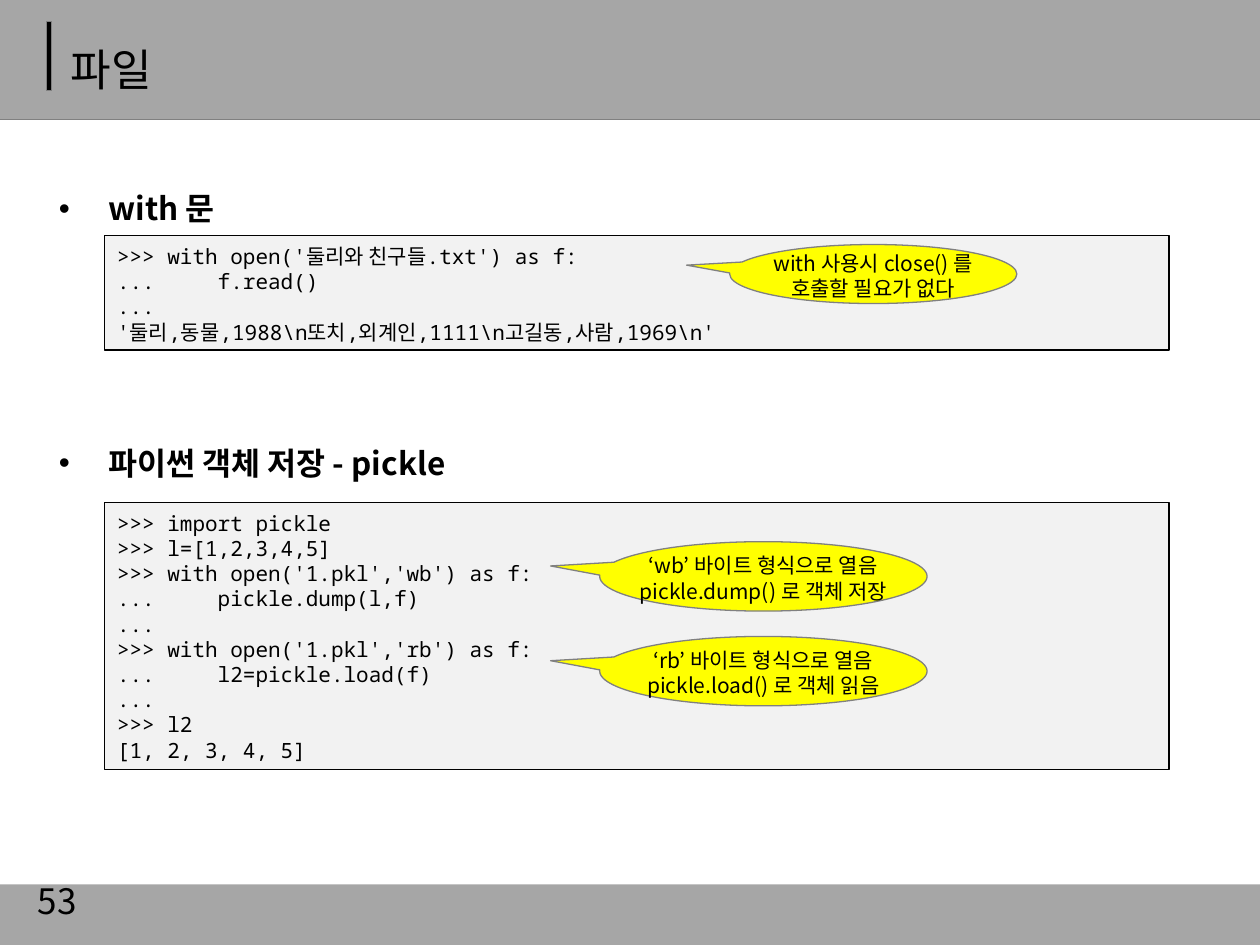
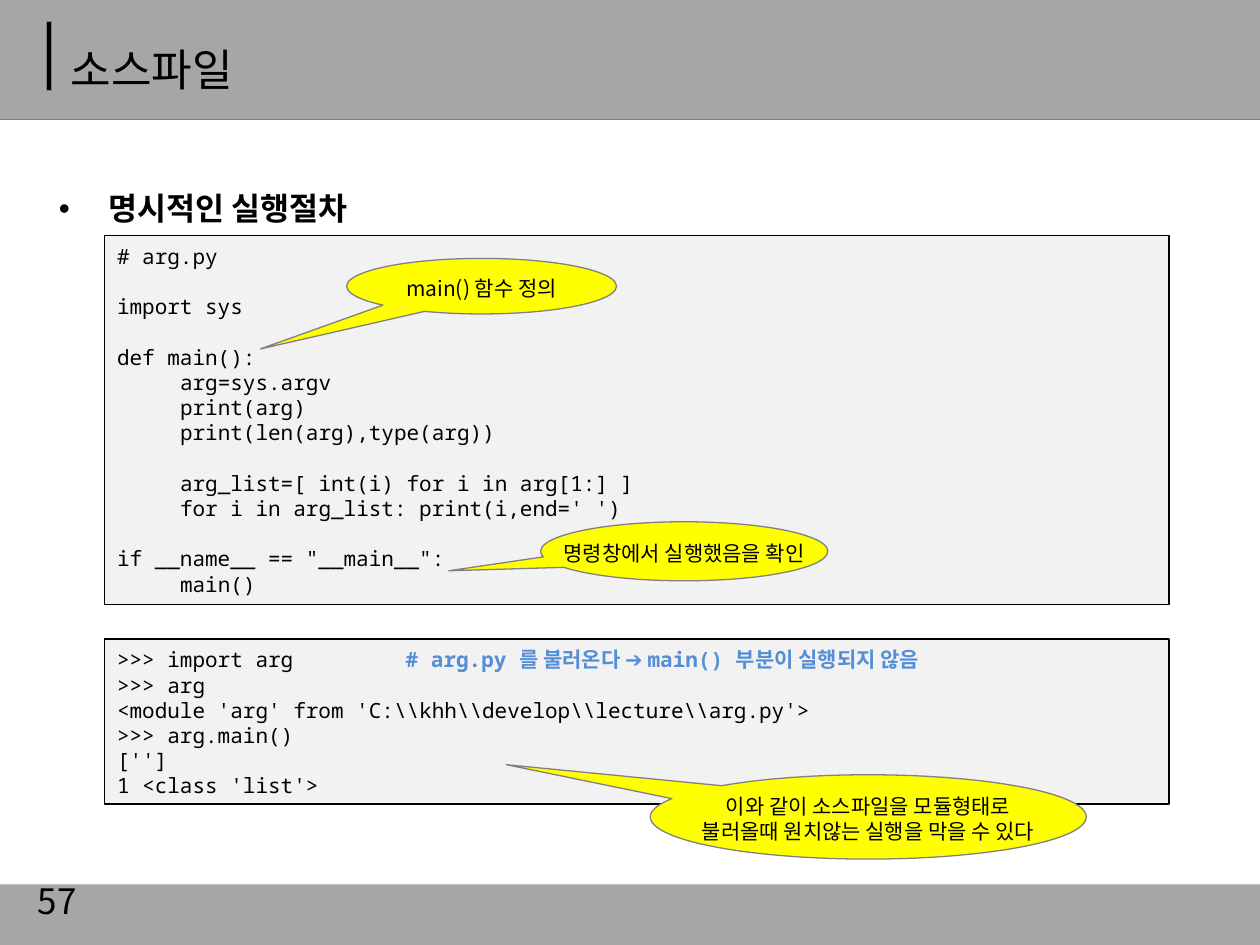
from dataclasses import dataclass
from typing import Any

from lxml.etree import SubElement as Sub
from pptx import Presentation
from pptx.dml.color import RGBColor as Rgb
from pptx.enum.shapes import MSO_CONNECTOR as Link, MSO_SHAPE as Form
from pptx.enum.text import MSO_ANCHOR as Anchor, PP_ALIGN as Align
from pptx.oxml.ns import qn
from pptx.util import Cm, Pt

WIDE, HIGH = 25.4, 19.05


@dataclass(frozen=True)
class Theme:
    sans: str = "Noto Sans CJK KR"
    mono: str = "Noto Sans Mono"
    band: str = "A6A6A6"
    edge: str = "808080"
    ink: str = "000000"
    panel: str = "F2F2F2"
    bubble: str = "FFFF00"
    note: str = "558ED5"
    title: float = 25.2
    page: float = 20
    head: float = 18
    body: float = 12
    lead: float = 14.4
    stroke: float = 0.75


@dataclass
class Deck:
    prs: Any
    look: Theme
    slide: Any = None

    def style(self, run, size, font=None, bold=False, color=None):
        run.font.name = font or self.look.sans
        run.font.size = Pt(size)
        run.font.bold = bold
        run.font.color.rgb = Rgb.from_string(color or self.look.ink)
        Sub(run.font._element, qn("a:ea"), typeface=self.look.sans)

    def words(self, frame, text, size, **kind):
        frame.text = text
        for para in frame.paragraphs:
            for run in para.runs:
                self.style(run, size, **kind)

    def shape(self, form, spot, fill, line=None):
        item = self.slide.shapes.add_shape(form, *map(Cm, spot))
        item.shadow.inherit = False
        item.fill.solid()
        item.fill.fore_color.rgb = Rgb.from_string(fill)
        if line:
            item.line.color.rgb = Rgb.from_string(line)
            item.line.width = Pt(self.look.stroke)
        else:
            item.line.fill.background()
        return item

    def rule(self, y):
        line = self.slide.shapes.add_connector(
            Link.STRAIGHT, 0, Cm(y), Cm(WIDE), Cm(y))
        line.line.color.rgb = Rgb.from_string(self.look.edge)
        line.line.width = Pt(self.look.stroke)
        Sub(line._element.spPr, qn("a:effectLst"))

    def label(self, spot, text, size, bold=False):
        box = self.slide.shapes.add_textbox(*map(Cm, spot))
        box.text_frame.word_wrap = True
        box.text_frame.vertical_anchor = Anchor.MIDDLE
        self.words(box.text_frame, text, size, bold=bold)
        return box

    def page(self, title, number):
        """Start a slide with its bands, title and page number."""
        look = self.look
        self.slide = self.prs.slides.add_slide(self.prs.slide_layouts[5])
        self.shape(Form.RECTANGLE, (0, 0, WIDE, 2.4), look.band)
        self.rule(2.41)
        self.shape(Form.RECTANGLE, (0.94, 0.43, 0.1, 1.4), look.ink, look.edge)
        self.shape(Form.RECTANGLE, (0, 17.83, WIDE, HIGH - 17.83), look.band)
        head = self.slide.shapes.title
        head.left, head.top, head.width, head.height = map(
            Cm, (1.17, 0.36, 21.9, 1.57))
        frame = head.text_frame
        frame.vertical_anchor = Anchor.MIDDLE
        frame.margin_top, frame.margin_bottom = Cm(0.5), 0
        self.words(frame, title, look.title)
        frame.paragraphs[0].alignment = Align.LEFT
        self.slide.shapes._spTree.append(head._element)
        self.label((0.51, 17.65, 5.92, 1.02), str(number), look.page)

    def topic(self, y, text):
        """Add a bold heading with a bullet."""
        box = self.label((0.94, y, 23.6, 1), text, self.look.head, bold=True)
        props = box.text_frame.paragraphs[0]._p.get_or_add_pPr()
        props.set("marL", str(Cm(1)))
        props.set("indent", str(-Cm(1)))
        Sub(props, qn("a:buFont"), typeface="Arial")
        Sub(props, qn("a:buChar"), char="•")

    def code(self, y, tall, lines, note=None):
        """Add a code panel; a None line becomes space above the next."""
        look = self.look
        box = self.shape(Form.RECTANGLE, (2.11, y, 21.46, tall),
                         look.panel, look.ink)
        frame = box.text_frame
        frame.vertical_anchor = Anchor.TOP
        frame.margin_top = Cm(0.16)
        self.words(frame, "\n".join(filter(None, lines)), look.body,
                   font=look.mono)
        last = ""
        shown = iter(frame.paragraphs)
        for line in lines:
            if line:
                para = next(shown)
                para.alignment = Align.LEFT
                para.line_spacing = Pt(look.lead)
                if last is None:
                    para.space_before = Pt(look.lead)
            last = line
        if note:
            first = frame.paragraphs[0]
            run = first.add_run()
            run.text = "\t" + note
            self.style(run, look.body, look.mono, True, look.note)
            tabs = Sub(first._p.get_or_add_pPr(), qn("a:tabLst"))
            Sub(tabs, qn("a:tab"), pos=str(Cm(5.82)), algn="l")

    def bubble(self, spot, tip, text):
        """Add a callout; tip is its point, as shares of the size from the centre."""
        look = self.look
        item = self.shape(Form.OVAL_CALLOUT, spot, look.bubble, look.edge)
        item.adjustments[0], item.adjustments[1] = tip
        frame = item.text_frame
        frame.word_wrap = False
        frame.vertical_anchor = Anchor.MIDDLE
        frame.margin_top = Cm(0.2)
        self.words(frame, text, look.body)
        for para in frame.paragraphs:
            para.alignment = Align.CENTER
            para.line_spacing = Pt(look.lead)


def files(deck):
    deck.page("파일", 53)
    deck.topic(3.7, "with 문")
    deck.code(4.75, 2.31, [
        ">>> with open('둘리와 친구들.txt') as f:",
        "...     f.read()",
        "...",
        "'둘리,동물,1988\\n또치,외계인,1111\\n고길동,사람,1969\\n'",
    ])
    tip = (-0.65, -0.15)
    deck.bubble((14.71, 4.93, 5.79, 1.19), tip,
                "with 사용시 close() 를\n호출할 필요가 없다")
    deck.topic(8.83, "파이썬 객체 저장 - pickle")
    deck.code(10.13, 5.38, [
        ">>> import pickle",
        ">>> l=[1,2,3,4,5]",
        ">>> with open('1.pkl','wb') as f:",
        "...     pickle.dump(l,f)",
        "...",
        ">>> with open('1.pkl','rb') as f:",
        "...     l2=pickle.load(f)",
        "...",
        ">>> l2",
        "[1, 2, 3, 4, 5]",
    ])
    for row, (mode, call, deed) in enumerate([("wb", "dump", "저장"),
                                              ("rb", "load", "읽음")]):
        deck.bubble((12.09, 10.92 + 1.91 * row, 6.6, 1.4), tip,
                    f"‘{mode}’ 바이트 형식으로 열음\n"
                    f"pickle.{call}() 로 객체 {deed}")


def source(deck):
    deck.page("소스파일", 57)
    deck.topic(3.7, "명시적인 실행절차")
    deck.code(4.75, 7.44, [
        "# arg.py",
        None,
        "import sys",
        None,
        "def main():",
        "\targ=sys.argv",
        "\tprint(arg)",
        "\tprint(len(arg),type(arg))",
        None,
        "\targ_list=[ int(i) for i in arg[1:] ]",
        "\tfor i in arg_list: print(i,end=' ')",
        None,
        'if __name__ == "__main__":',
        "\tmain()",
    ])
    deck.bubble((10.9, 10.52, 5.79, 1.19), (-0.82, 0.33),
                "명령창에서 실행했음을 확인")
    deck.bubble((6.99, 5.21, 5.44, 1.12), (-0.82, 1.13), "main() 함수 정의")
    deck.code(12.88, 3.33, [
        ">>> import arg",
        ">>> arg",
        "<module 'arg' from 'C:\\\\khh\\\\develop\\\\lecture\\\\arg.py'>",
        ">>> arg.main()",
        "['']",
        "1 <class 'list'>",
    ], note="# arg.py 를 불러온다 ➔ main() 부분이 실행되지 않음")
    deck.bubble((13.11, 15.62, 8.79, 1.7), (-0.83, -0.62),
                "이와 같이 소스파일을 모듈형태로\n"
                "불러올때 원치않는 실행을 막을 수 있다")


def main():
    prs = Presentation()
    prs.slide_width, prs.slide_height = Cm(WIDE), Cm(HIGH)
    deck = Deck(prs, Theme())
    files(deck)
    source(deck)
    prs.save("out.pptx")


if __name__ == "__main__":
    main()
